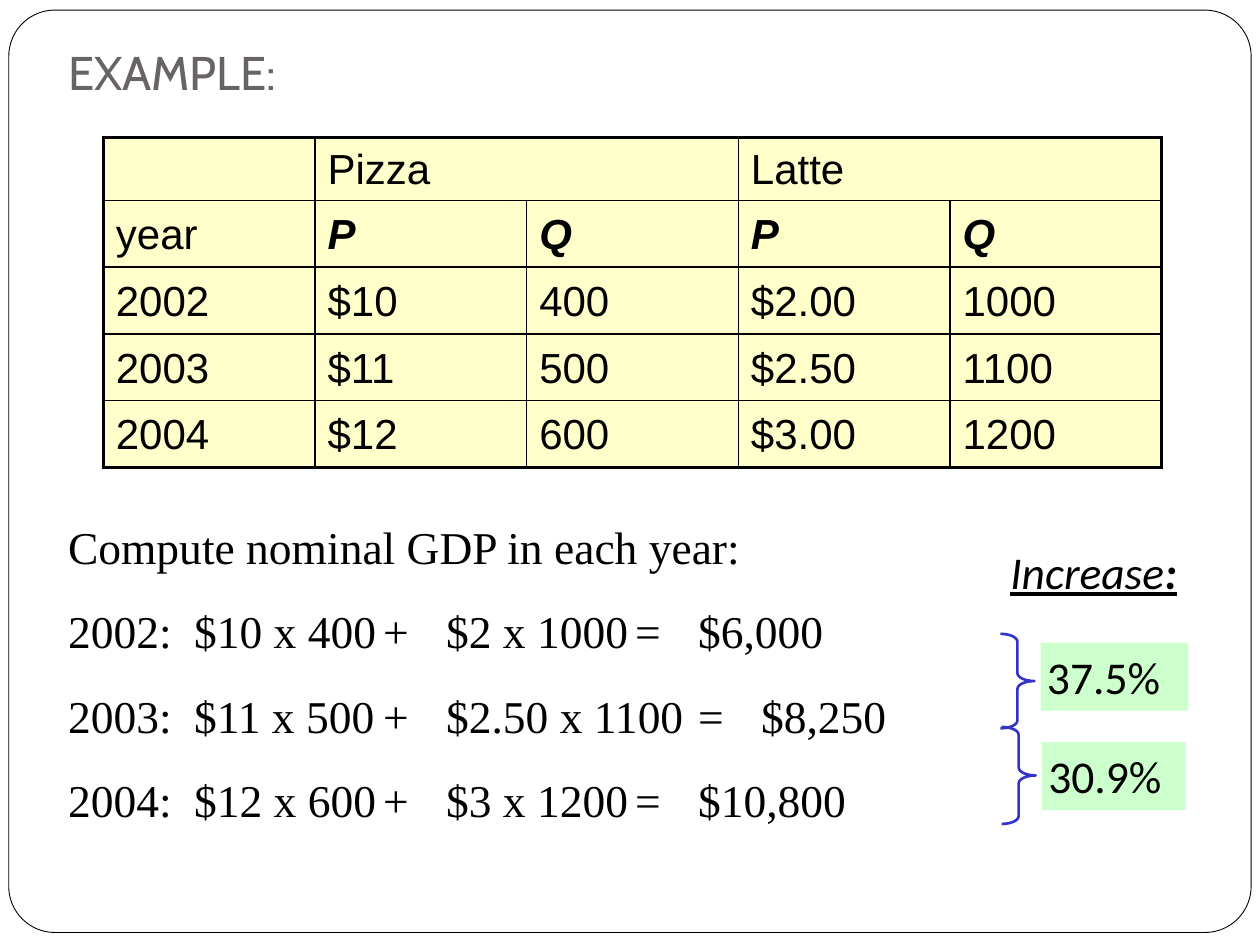
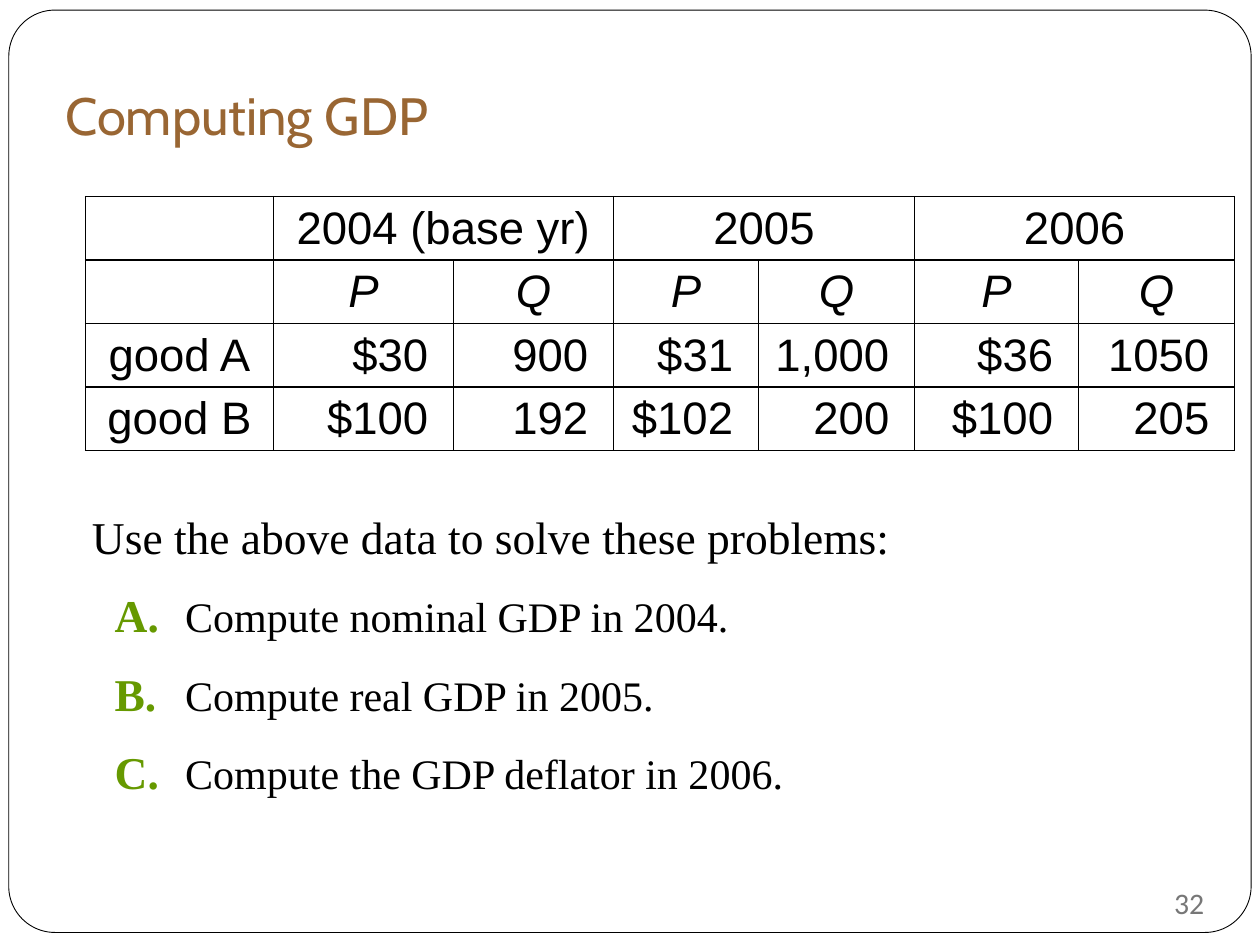
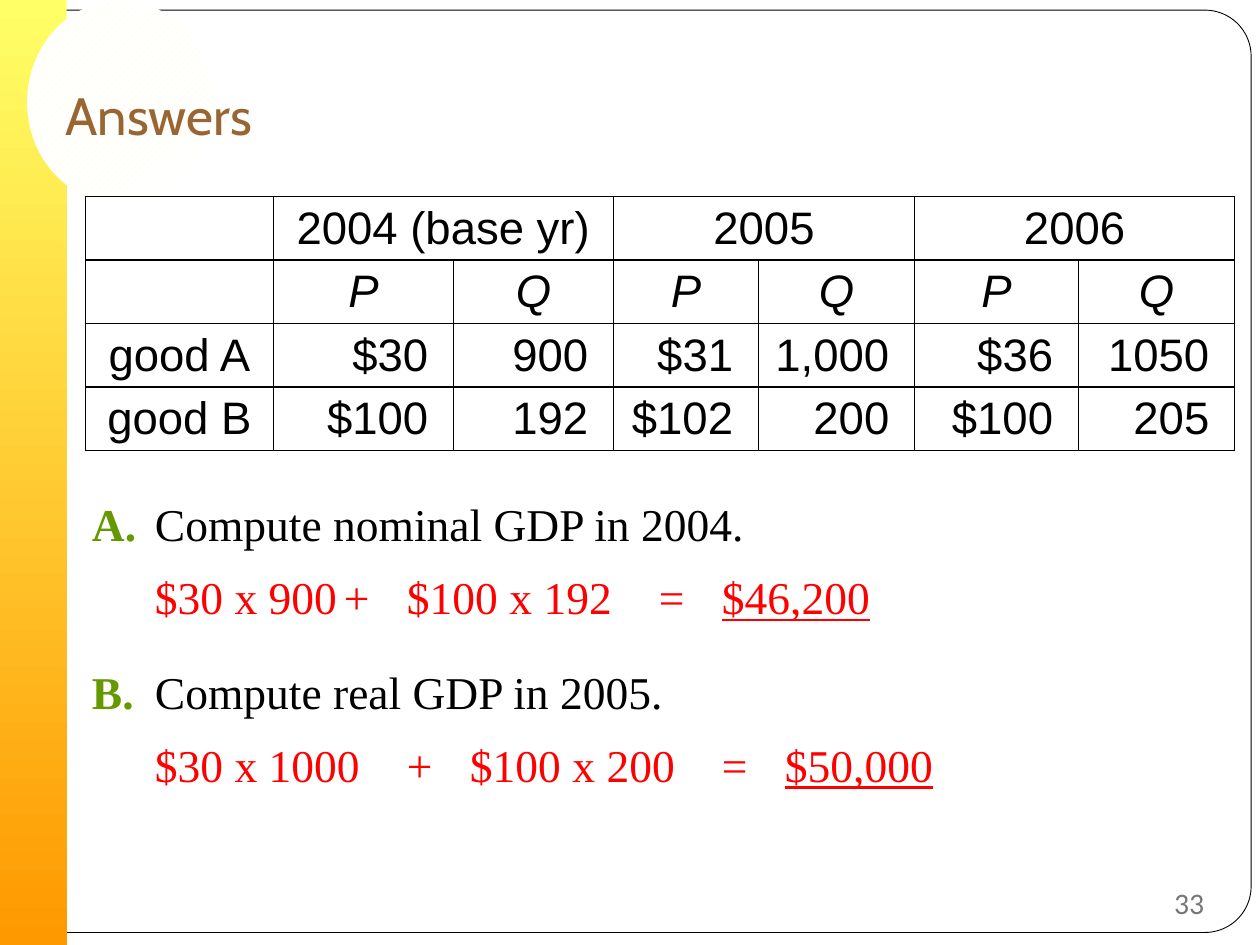
import pptx
import pptx.util
import pptx.dml.color
import pptx.enum.dml
import pptx.enum.shapes
import pptx.enum.text
import pptx.oxml
import pptx.oxml.ns
import lxml.etree

Pt = pptx.util.Pt
Inch = pptx.util.Inches
Rgb = pptx.dml.color.RGBColor.from_string
Kind = pptx.enum.shapes.MSO_SHAPE
Align = pptx.enum.text.PP_ALIGN
Mid = pptx.enum.text.MSO_ANCHOR.MIDDLE
Low = pptx.enum.text.MSO_ANCHOR.BOTTOM
Top = pptx.enum.text.MSO_ANCHOR.TOP
Fit = pptx.enum.text.MSO_AUTO_SIZE.NONE
qn = pptx.oxml.ns.qn

hue = {
    "ink": "000000", "paper": "FFFFFF", "gray": "696464", "brown": "996633",
    "green": "669900", "red": "FF0000", "page": "777777", "cream": "FFFFCC",
    "mint": "CCFFCC", "blue": "3333CC", "sun": "FFFF66", "amber": "FF9900",
}

serif = {"name": "Times New Roman", "size": Pt(26), "color": "ink"}
sans = {"name": "Arial", "size": Pt(26), "color": "ink"}
plain = {"name": "Calibri", "size": Pt(26), "color": "ink"}
look = {
    "head": {"name": "Cabin", "size": Pt(27), "color": "gray"},
    "title": {"name": "Cabin", "size": Pt(30), "color": "brown"},
    "body": serif,
    "item": {**serif, "size": Pt(24)},
    "mark": {**serif, "color": "green", "bold": True},
    "sum": {**serif, "color": "red"},
    "total": {**serif, "color": "red", "underline": True},
    "cell": sans,
    "sign": {**sans, "italic": True},
    "small": {**sans, "size": Pt(24)},
    "strong": {**sans, "size": Pt(24), "bold": True, "italic": True},
    "rate": plain,
    "label": {**plain, "italic": True, "underline": True},
    "colon": {**plain, "italic": True, "underline": True, "bold": True},
    "page": {**plain, "size": Pt(17), "color": "page"},
}

prs = pptx.Presentation()
prs.slide_width, prs.slide_height = Inch(10), Inch(7.5)


def box(left, top, wide, high):
    w, h = prs.slide_width, prs.slide_height
    return [int(n * side / 100) for n, side in ((left, w), (top, h), (wide, w), (high, h))]


def write(par, text, style):
    run = par.add_run()
    run.text = text
    for key, val in look[style].items():
        if key == "color":
            run.font.color.rgb = Rgb(hue[val])
        else:
            setattr(run.font, key, val)


data = [
    ["", "2004 (base yr)", "", "2005", "", "2006", ""],
    ["", "P", "Q", "P", "Q", "P", "Q"],
    ["good A", "$30", "900", "$31", "1,000", "$36", "1050"],
    ["good B", "$100", "192", "$102", "200", "$100", "205"],
]
goods = {
    "at": (6.8, 20.8, 91.1, 26.93), "cols": [1.49, 1.43, 1.27, 1.15, 1.24, 1.3, 1.24],
    "rows": [0.5] * 4, "fill": "paper", "edge": 1, "text": "cell", "sign": "sign",
    "gap": 1, "mid": True, "data": data,
}
foods = {
    "at": (8.2, 14.53, 84.1, 34.93), "cols": [1.68] * 5,
    "rows": [0.5] + [0.53] * 4, "fill": "cream", "edge": 2.25, "text": "small",
    "sign": "strong", "gap": 1.05, "mid": False,
    "data": [
        ["", "Pizza", "", "Latte", ""],
        ["year", "P", "Q", "P", "Q"],
        ["2002", "$10", "400", "$2.00", "1000"],
        ["2003", "$11", "500", "$2.50", "1100"],
        ["2004", "$12", "600", "$3.00", "1200"],
    ],
}

calc = [(1, "l"), (2.62, "l"), (3.89, "ctr"), (5, "l"), (5.97, "ctr")]
part = [(0.5, "l")]
first = part + [(n, "l") for n in (2.14, 2.52, 4.33, 4.71)]
second = part + [(n + 0.18, "l") for n, side in first[1:]]
hang = (0.74, -0.56)
flat = (0, 0)

pages = [
    {
        "title": "EXAMPLE:", "style": "head", "head": (4.4, 3.6, 73.8, 8.27),
        "body": (4.4, 54.27, 76.8, 37.33), "table": foods, "page": "",
        "lines": [
            (0, 1, flat, calc, [("Compute nominal GDP in each year:", "body")]),
            (17, 1, flat, calc, [("2002:\t$10 x 400\t+\t$2 x 1000\t=\t$6,000", "body")]),
            (17, 1, flat, calc, [("2003:\t$11 x 500\t+\t$2.50 x 1100\t=\t$8,250", "body")]),
            (17, 1, flat, calc, [("2004:\t$12 x 600\t+\t$3 x 1200\t=\t$10,800", "body")]),
        ],
    },
    {
        "title": "Computing GDP", "style": "title", "head": (4.2, 2.8, 90, 14),
        "body": (6.3, 53.2, 90, 37.6), "table": goods, "page": "32",
        "lines": [
            (0, 1, flat, [], [("Use the above data to solve these problems:", "body")]),
            (12, 1.05, hang, [], [("A.\t", "mark"), ("Compute nominal GDP in 2004.", "item")]),
            (12, 1.05, hang, [], [("B.\t", "mark"), ("Compute real GDP in 2005.", "item")]),
            (12, 1.05, hang, [], [("C.\t", "mark"), ("Compute the GDP deflator in 2006.", "item")]),
        ],
    },
    {
        "title": "Answers", "style": "title", "head": (4.2, 2.8, 90, 14),
        "body": (6.3, 51.87, 86.1, 39.6), "table": goods, "page": "33",
        "lines": [
            (0, 1, flat, part, [("A.\t", "mark"), ("Compute nominal GDP in 2004.", "body")]),
            (10.5, 1, flat, first, [("\t$30 x 900\t+\t$100 x 192\t=\t", "sum"), ("$46,200", "total")]),
            (23, 1, flat, part, [("B.\t", "mark"), ("Compute real GDP in 2005.", "body")]),
            (10.5, 1, flat, second, [("\t$30 x 1000\t+\t$100 x 200\t=\t", "sum"), ("$50,000", "total")]),
        ],
    },
]

base = prs.slide_layouts[1]
slides = []
for page in pages:
    slide = prs.slides.add_slide(base)
    slides.append(slide)

    title, body = slide.shapes.title, slide.placeholders[1]
    for shape, area, anchor in ((title, page["head"], Low), (body, page["body"], Top)):
        shape.left, shape.top, shape.width, shape.height = box(*area)
        form = {"auto_size": Fit, "word_wrap": True, "vertical_anchor": anchor}
        for key, val in form.items():
            setattr(shape.text_frame, key, val)
    title.text_frame.margin_bottom = Inch(0.1)
    par = title.text_frame.paragraphs[0]
    par.alignment = Align.LEFT
    write(par, page["title"], page["style"])

    for i, (before, space, (left, dent), stops, runs) in enumerate(page["lines"]):
        par = body.text_frame.add_paragraph() if i else body.text_frame.paragraphs[0]
        form = {"space_before": Pt(before), "line_spacing": space, "alignment": Align.LEFT}
        for key, val in form.items():
            setattr(par, key, val)
        prop = par._p.get_or_add_pPr()
        prop.set("marL", str(Inch(left)))
        prop.set("indent", str(Inch(dent)))
        lxml.etree.SubElement(prop, qn("a:buNone"))
        if stops:
            tabs = lxml.etree.SubElement(prop, qn("a:tabLst"))
            for pos, side in stops:
                lxml.etree.SubElement(tabs, qn("a:tab"), pos=str(Inch(pos)), algn=side)
        for text, style in runs:
            write(par, text, style)

    plan = page["table"]
    rows, cols = len(plan["rows"]), len(plan["cols"])
    table = slide.shapes.add_table(rows, cols, *box(*plan["at"])).table
    table.first_row = table.horz_banding = False
    for col, wide in zip(table.columns, plan["cols"]):
        col.width = Inch(wide)
    for row, high in zip(table.rows, plan["rows"]):
        row.height = Inch(high)
    for c in range(1, cols, 2):
        table.cell(0, c).merge(table.cell(0, c + 1))
    for r, line in enumerate(plan["data"]):
        for c, text in enumerate(line):
            cell = table.cell(r, c)
            cell.fill.solid()
            cell.fill.fore_color.rgb = Rgb(hue[plan["fill"]])
            cell.vertical_anchor = Mid
            if cell.is_spanned:
                continue
            par = cell.text_frame.paragraphs[0]
            par.line_spacing = plan["gap"]
            if plan["mid"]:
                par.alignment = Align.CENTER
                if r > 1 and c:
                    par.alignment = Align.RIGHT
                    cell.margin_left, cell.margin_right = Inch(0.05), Inch(0.2)
            if text:
                write(par, text, plan["sign"] if text in "PQ" else plan["text"])
            outer = {"L": c == 0, "R": c + cell.span_width == cols, "T": r == 0, "B": r == rows - 1}
            prop = cell._tc.get_or_add_tcPr()
            for i, (side, edge) in enumerate(outer.items()):
                rule = lxml.etree.Element(qn("a:ln" + side), w=str(Pt(plan["edge"] if edge else 1)))
                paint = lxml.etree.SubElement(rule, qn("a:solidFill"))
                lxml.etree.SubElement(paint, qn("a:srgbClr"), val=hue["ink"])
                prop.insert(i, rule)

    if page["page"]:
        frame = slide.shapes.add_textbox(*box(92.2, 92.8, 6.7, 5.47)).text_frame
        frame.word_wrap = True
        frame.vertical_anchor = Mid
        write(frame.paragraphs[0], page["page"], "page")

start, final = slides[0], slides[-1]

border = start.shapes.add_shape(Kind.ROUNDED_RECTANGLE, *box(0.7, 1.07, 98.6, 97.6))
border.adjustments[0] = 0.05
border.shadow.inherit = False
border.fill.solid()
border.fill.fore_color.rgb = Rgb(hue["paper"])
border.line.color.rgb = Rgb(hue["ink"])
border.line.width = Pt(0.5)
base.element.cSld.spTree.insert(2, border.element)

frame = start.shapes.add_textbox(*box(79.2, 56.93, 17.1, 7.07)).text_frame
frame.word_wrap = True
write(frame.paragraphs[0], "Increase", "label")
write(frame.paragraphs[0], ":", "colon")

rates = [
    ("37.5%", (82.6, 68, 11.7, 7.2), (79.4, 67.07, 2.7, 10)),
    ("30.9%", (82.7, 78.53, 11.4, 7.2), (79.5, 76.93, 2.7, 10.27)),
]
for text, area, span in rates:
    rate = start.shapes.add_shape(Kind.RECTANGLE, *box(*area))
    rate.shadow.inherit = False
    rate.fill.solid()
    rate.fill.fore_color.rgb = Rgb(hue["mint"])
    rate.line.fill.background()
    for side in ("left", "top", "right", "bottom"):
        setattr(rate.text_frame, "margin_" + side, Inch(0.05))
    rate.text_frame.vertical_anchor = Top
    par = rate.text_frame.paragraphs[0]
    par.alignment = Align.LEFT
    write(par, text, "rate")
    brace = start.shapes.add_shape(Kind.RIGHT_BRACE, *box(*span))
    brace.adjustments[0] = 0.23
    brace.shadow.inherit = False
    brace.fill.background()
    brace.line.color.rgb = Rgb(hue["blue"])
    brace.line.width = Pt(1.5)

band = final.shapes.add_shape(Kind.RECTANGLE, *box(0, 0, 5.3, 100))
band.fill.gradient()
band.fill.gradient_angle = 270
for stop, name in zip(band.fill.gradient_stops, ("sun", "amber")):
    stop.color.rgb = Rgb(hue[name])
disc = final.shapes.add_shape(Kind.OVAL, *box(2.15, 0.07, 14.8, 21.47))
disc.fill.patterned()
disc.fill.pattern = pptx.enum.dml.MSO_PATTERN.WIDE_UPWARD_DIAGONAL
disc.fill.fore_color.rgb = Rgb(hue["cream"])
disc.fill.back_color.rgb = Rgb(hue["paper"])
for i, shape in enumerate((band, disc)):
    shape.shadow.inherit = False
    shape.line.fill.background()
    final.shapes.element.insert(2 + i, shape.element)

prs.save("out.pptx")
